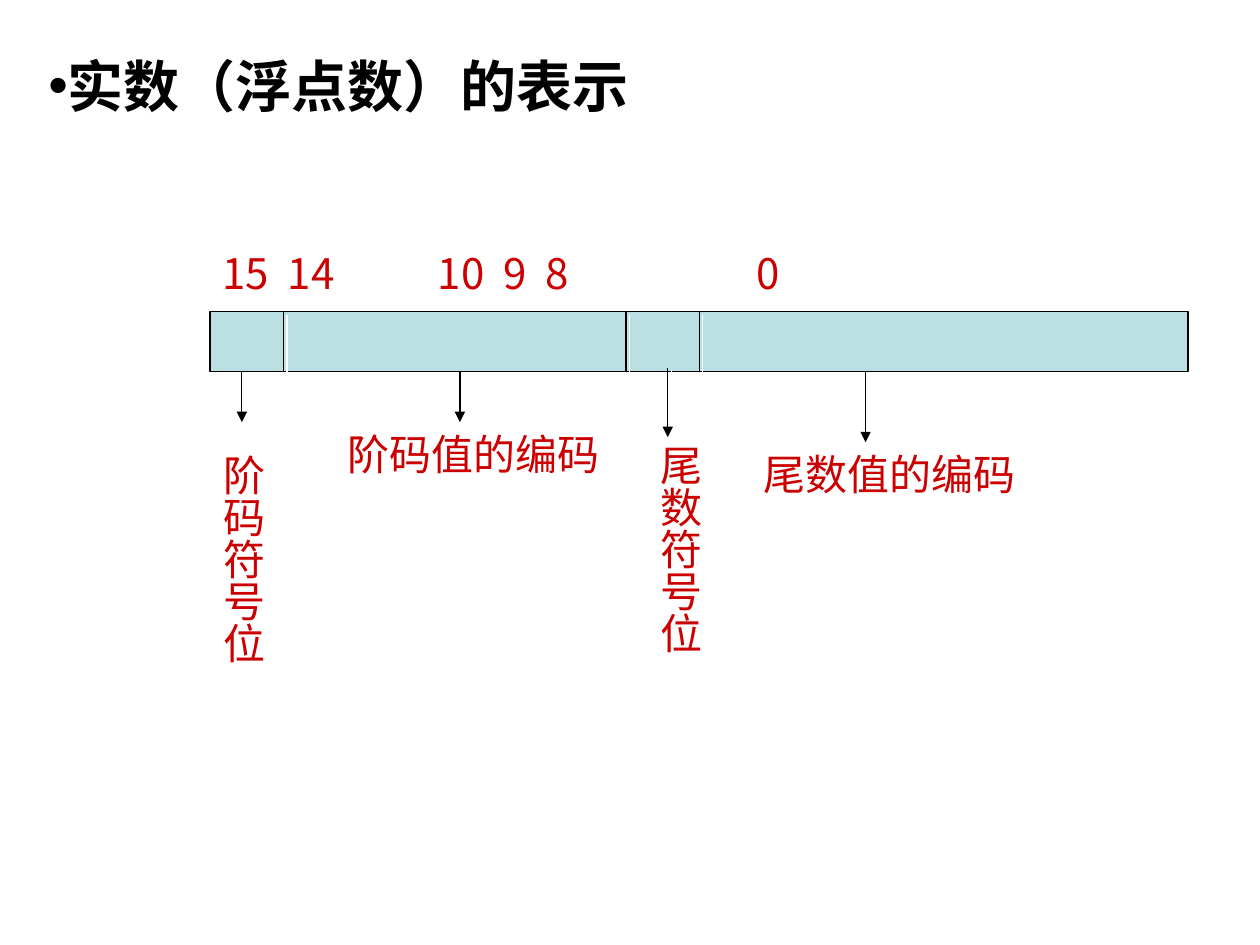
from lxml.etree import SubElement
from pptx import Presentation
from pptx.dml.color import RGBColor
from pptx.enum.shapes import MSO_CONNECTOR, MSO_SHAPE
from pptx.enum.text import MSO_ANCHOR, MSO_AUTO_SIZE, PP_ALIGN
from pptx.oxml.ns import qn
from pptx.util import Pt

COLORS = {"ink": "000000", "label": "CC0000", "register": "BBE0E3", "shadow": "FFFFFF"}
FONT = "Noto Sans CJK SC"


def add_text(paragraph, text, size, color, bold=False):
    run = paragraph.add_run()
    run.text = text
    run.font.size = Pt(size)
    run.font.bold = bold
    run.font.color.rgb = RGBColor.from_string(COLORS[color])
    run.font.name = FONT
    SubElement(run.font._element, qn("a:ea"), typeface=FONT)


def outline_with_shadow(shape):
    shape.line.color.rgb = RGBColor.from_string(COLORS["ink"])
    shape.line.width = Pt(0.75)
    effects = SubElement(shape._element.spPr, qn("a:effectLst"))
    shadow = SubElement(effects, qn("a:outerShdw"), dist=str(Pt(2.8)), dir="2700000",
                        algn="ctr", rotWithShape="0")
    SubElement(shadow, qn("a:srgbClr"), val=COLORS["shadow"])


presentation = Presentation()
presentation.slide_width, presentation.slide_height = Pt(720), Pt(540)
slide = presentation.slides.add_slide(presentation.slide_layouts[5])

title = slide.shapes.title
title.left, title.top, title.width, title.height = Pt(6), Pt(18), Pt(714), Pt(96)
title.text_frame.auto_size = MSO_AUTO_SIZE.NONE
title.text_frame.vertical_anchor = MSO_ANCHOR.TOP
paragraph = title.text_frame.paragraphs[0]
properties = paragraph._element.get_or_add_pPr()
properties.set("marL", "0")
properties.set("indent", str(Pt(14.4)))
SubElement(properties, qn("a:buFont"), typeface="Arial")
SubElement(properties, qn("a:buChar"), char="•")
paragraph.alignment = PP_ALIGN.LEFT
paragraph.line_spacing = 1.2
paragraph.space_before = Pt(0)
add_text(paragraph, "实数（浮点数）的表示", 32, "ink", bold=True)

register_left, register_top, register_bottom = 120, 178, 212.5
register = slide.shapes.add_shape(
    MSO_SHAPE.RECTANGLE, Pt(register_left), Pt(register_top),
    Pt(559), Pt(register_bottom - register_top))
register.fill.solid()
register.fill.fore_color.rgb = RGBColor.from_string(COLORS["register"])
outline_with_shadow(register)

for x in (399.6, 357.8, 162):
    divider = slide.shapes.add_connector(
        MSO_CONNECTOR.STRAIGHT, Pt(x), Pt(register_top), Pt(x), Pt(register_bottom))
    outline_with_shadow(divider)

field_labels = [
    ("阶码符号位", 113.8, 252.7, 43.2, 137.5, True),
    ("尾数符号位", 363.6, 247, 43.2, 143.3, True),
    ("阶码值的编码", 191.5, 241.2, 160.6, 36, False),
    ("尾数值的编码", 429.1, 252.7, 178.6, 36, False),
]
for text, left, top, width, height, vertical in field_labels:
    label = slide.shapes.add_textbox(Pt(left), Pt(top), Pt(width), Pt(height))
    label.text_frame.word_wrap = True
    label.text_frame.auto_size = MSO_AUTO_SIZE.SHAPE_TO_FIT_TEXT
    if vertical:
        label.text_frame._txBody.bodyPr.set("vert", "eaVert")
    add_text(label.text_frame.paragraphs[0], text, 24, "label")

for x, start, end in [(381.6, 210.2, 249.8), (138.2, register_bottom, 241.2),
                      (262.8, register_bottom, 241.2), (494.6, register_bottom, 252.7)]:
    arrow = slide.shapes.add_connector(
        MSO_CONNECTOR.STRAIGHT, Pt(x), Pt(start), Pt(x), Pt(end))
    outline_with_shadow(arrow)
    SubElement(arrow._element.spPr.find(qn("a:ln")), qn("a:tailEnd"), type="triangle")

bit_numbers = slide.shapes.add_textbox(Pt(register_left), Pt(138.2), Pt(582.5), Pt(36))
bit_numbers.text_frame.word_wrap = True
bit_numbers.text_frame.auto_size = MSO_AUTO_SIZE.SHAPE_TO_FIT_TEXT
paragraph = bit_numbers.text_frame.paragraphs[0]
tabs = SubElement(paragraph._element.get_or_add_pPr(), qn("a:tabLst"))
for position in (37.4, 123.2, 160.5, 184.6, 305.4):
    SubElement(tabs, qn("a:tab"), pos=str(Pt(position)), algn="l")
add_text(paragraph, "15\t14\t10\t9\t8\t0", 24, "label")

presentation.save("out.pptx")
